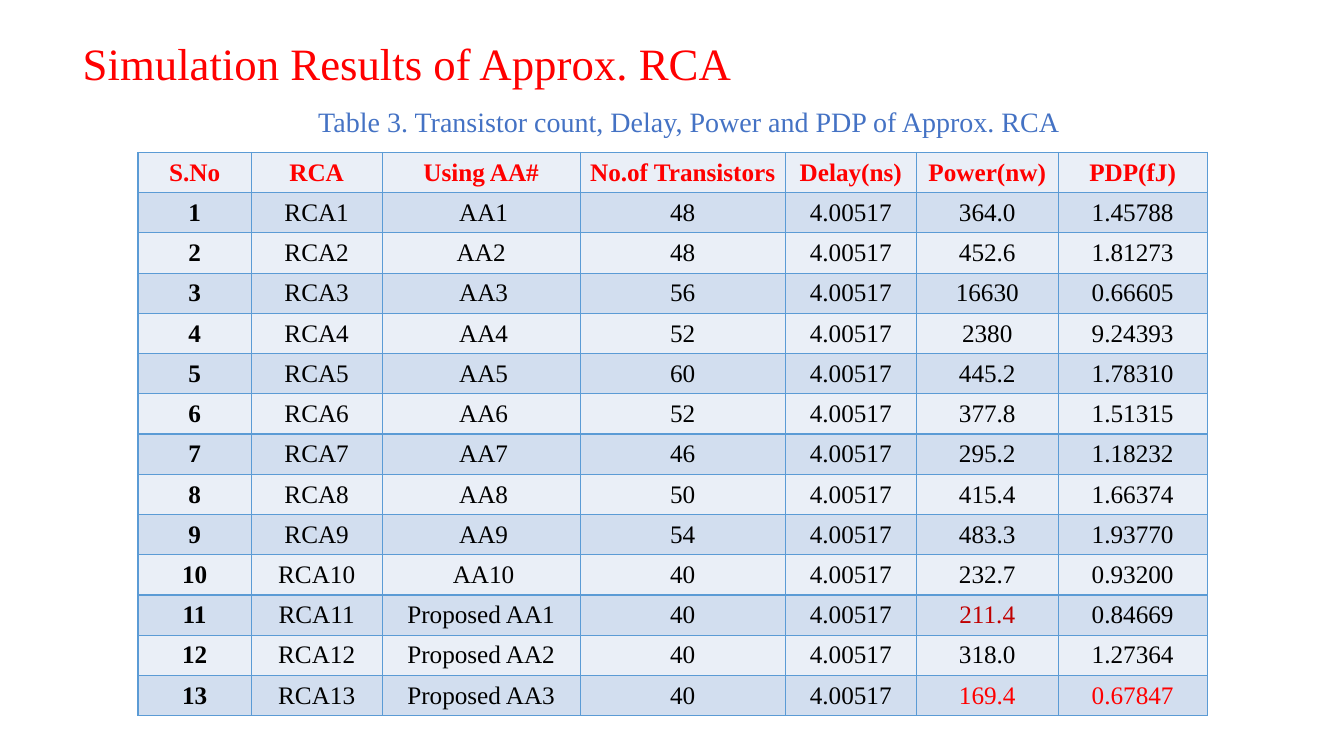
from pptx import Presentation
from pptx.dml.color import RGBColor
from pptx.enum.text import MSO_ANCHOR, MSO_AUTO_SIZE, PP_ALIGN
from pptx.oxml import parse_xml
from pptx.oxml.ns import nsdecls
from pptx.util import Cm, Pt

LEFT, CENTER = PP_ALIGN.LEFT, PP_ALIGN.CENTER
MIDDLE = MSO_ANCHOR.MIDDLE
GROW = MSO_AUTO_SIZE.SHAPE_TO_FIT_TEXT

# Content
TITLE = "Simulation Results of Approx. RCA"
CAPTION = "Table 3. Transistor count, Delay, Power and PDP of Approx. RCA"
HEADS = ("S.No", "RCA", "Using AA#", "No.of Transistors",
         "Delay(ns)", "Power(nw)", "PDP(fJ)")
DELAY = "4.00517"
RESULTS = [  # adder, transistors, power, PDP
    (" AA1", "48", "364.0", "1.45788"),
    ("AA2", "48", "452.6", "1.81273"),
    (" AA3", "56", "16630", "0.66605"),
    (" AA4", "52", "2380", "9.24393"),
    (" AA5", "60", "445.2", "1.78310"),
    (" AA6", "52", "377.8", "1.51315"),
    (" AA7", "46", "295.2", "1.18232"),
    (" AA8", "50", "415.4", "1.66374"),
    (" AA9", "54", "483.3", "1.93770"),
    (" AA10", "40", "232.7", "0.93200"),
    ("Proposed AA1", "40", "211.4", "0.84669"),
    ("Proposed AA2", "40", "318.0", "1.27364"),
    ("Proposed AA3", "40", "169.4", "0.67847"),
]
COLORS = {"red": "FF0000", "dark": "C00000", "black": "000000",
          "blue": "4472C4", "line": "5B9BD5",
          "light": "EAEFF7", "band": "D2DEEF"}
MARKS = {(11, 5): "dark", (13, 5): "red", (13, 6): "red"}  # (row, column)
FONT = "Times New Roman"
WIDTHS = (2.85, 3.3, 4.99, 5.17, 3.3, 3.58, 3.75)
HEIGHT = 14.2


def write(frame, text, size, color, align=LEFT, bold=False):
    par = frame.paragraphs[0]
    par.alignment = align
    run = par.add_run()
    run.text = text
    font = run.font
    font.name, font.size, font.bold = FONT, Pt(size), bold
    font.color.rgb = RGBColor.from_string(COLORS[color])
    return par


def border(cell):
    props = cell._tc.get_or_add_tcPr()
    for i, side in enumerate(("lnL", "lnR", "lnT", "lnB")):
        props.insert(i, parse_xml(
            f'<a:{side} {nsdecls("a")} w="{Pt(1)}"><a:solidFill>'
            f'<a:srgbClr val="{COLORS["line"]}"/></a:solidFill></a:{side}>'))


def main():
    deck = Presentation()
    deck.slide_width, deck.slide_height = Cm(33.87), Cm(19.05)
    slide = deck.slides.add_slide(deck.slide_layouts[5])

    # Title
    title = slide.shapes.title
    title.left, title.top = Cm(1.83), Cm(1.02)
    title.width, title.height = Cm(29.69), Cm(1.3)
    title.text_frame.vertical_anchor = MIDDLE
    write(title.text_frame, TITLE, 32, "red").line_spacing = 0.9

    # Results table
    rows = [HEADS] + [(str(n), f"RCA{n}", adder, count, DELAY, power, pdp)
                      for n, (adder, count, power, pdp)
                      in enumerate(RESULTS, 1)]
    table = slide.shapes.add_table(
        len(rows), len(HEADS), Cm(3.48), Cm(3.84),
        Cm(sum(WIDTHS)), Cm(HEIGHT)).table
    for col, width in zip(table.columns, WIDTHS):
        col.width = Cm(width)
    for r, row in enumerate(rows):
        for c, text in enumerate(row):
            cell = table.cell(r, c)
            cell.vertical_anchor = MIDDLE
            cell.margin_left = cell.margin_right = Cm(0.18)
            cell.margin_top = cell.margin_bottom = 0
            cell.fill.solid()
            shade = COLORS["band" if r % 2 else "light"]
            cell.fill.fore_color.rgb = RGBColor.from_string(shade)
            color = "red" if r == 0 else MARKS.get((r, c), "black")
            write(cell.text_frame, text, 18, color, CENTER, r == 0 or c == 0)
            border(cell)

    # Caption
    box = slide.shapes.add_textbox(Cm(7.77), Cm(2.51), Cm(19.3), Cm(1.12))
    box.text_frame.word_wrap = False
    box.text_frame.auto_size = GROW
    write(box.text_frame, CAPTION, 20, "blue")

    deck.save("out.pptx")


if __name__ == "__main__":
    main()
